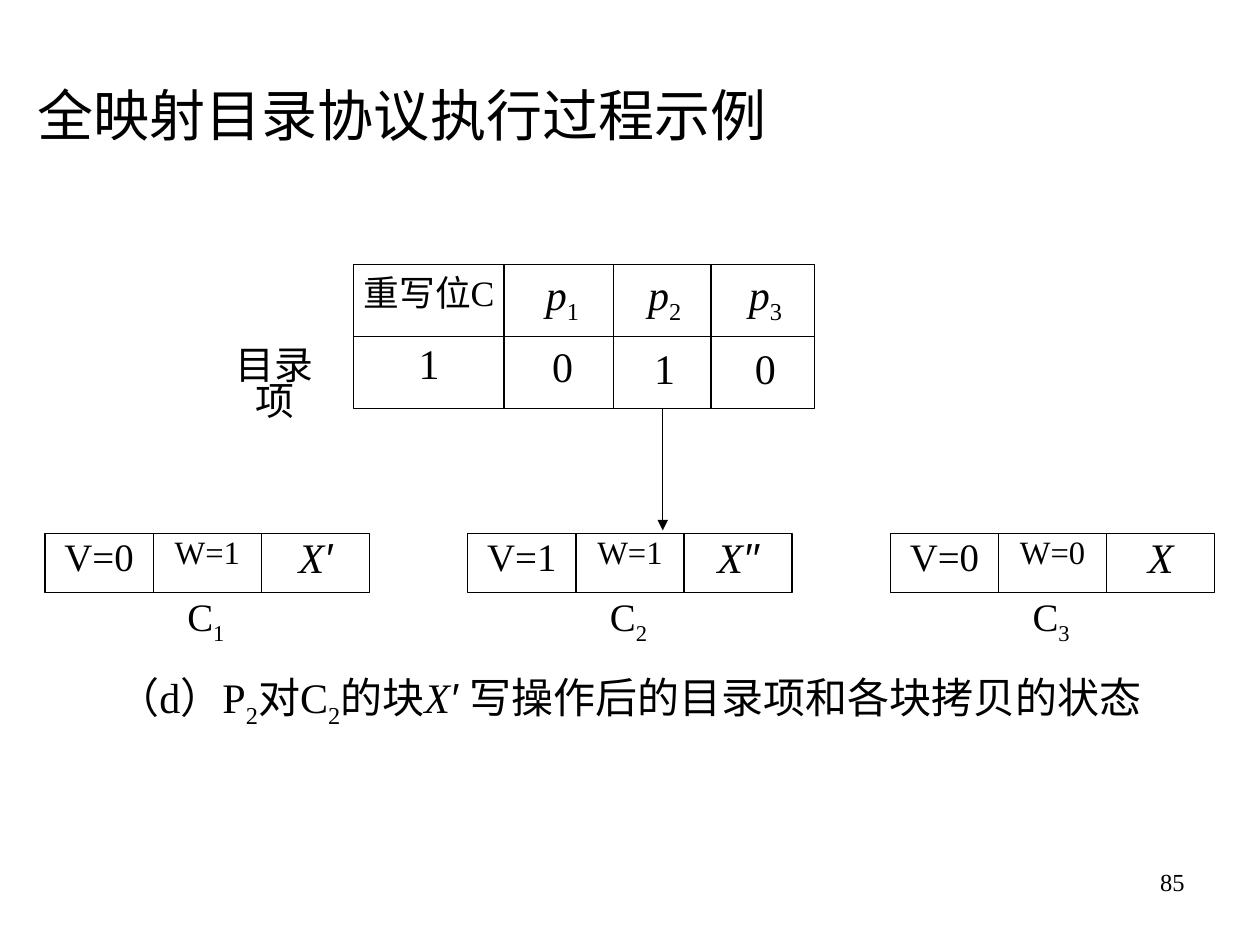
from dataclasses import dataclass

from lxml.etree import SubElement
from pptx import Presentation
from pptx.dml.color import RGBColor
from pptx.enum.shapes import MSO_CONNECTOR as Connector, MSO_SHAPE as Shape
from pptx.enum.text import MSO_ANCHOR as Anchor, PP_ALIGN as Align
from pptx.oxml.ns import qn
from pptx.util import Cm, Pt


@dataclass(frozen=True)
class Theme:
    ink: RGBColor = RGBColor(0, 0, 0)
    font: str = "Times New Roman"
    prime_font: str = "Arial"
    cjk_font: str = "Noto Sans CJK SC"
    line: float = 0.75
    title: float = 32
    body: float = 24
    label: float = 22.2
    heading: float = 20.4
    flag: float = 18.6
    number: float = 14


THEME = Theme()
PLAIN = {}
SUB = {"baseline": -25000}
ITALIC = {"italic": True}
PRIME = {"italic": True, "name": THEME.prime_font}
CJK = {"name": THEME.cjk_font}


def apply(target, values):
    for name, value in values.items():
        setattr(target, name, value)


def write(paragraph, runs, size):
    for text, style in runs:
        run = paragraph.add_run()
        run.text = text
        values = {"name": THEME.font, "size": Pt(size)} | style
        baseline = values.pop("baseline", None)
        apply(run.font, values)
        run.font.color.rgb = THEME.ink
        if baseline:
            run._r.get_or_add_rPr().set("baseline", str(baseline))


def add_text(slide, box, runs, size, spacing=None, align=Align.CENTER, inset=(0, 0)):
    frame = slide.shapes.add_textbox(*map(Cm, box)).text_frame
    across, down = map(Cm, inset)
    apply(frame, {"word_wrap": True, "margin_left": across, "margin_right": across,
                  "margin_top": down, "margin_bottom": down})
    paragraph = frame.paragraphs[0]
    apply(paragraph, {"alignment": align, "line_spacing": spacing})
    write(paragraph, runs, size)


def add_centered(slide, center, top, width, height, runs, size, spacing):
    add_text(slide, (center - width / 2, top, width, height), runs, size, spacing)


def add_line(slide, x1, y1, x2, y2, arrow=False):
    line = slide.shapes.add_connector(Connector.STRAIGHT, *map(Cm, (x1, y1, x2, y2)))
    line.line.color.rgb = THEME.ink
    line.line.width = Pt(THEME.line)
    properties = line._element.spPr
    if arrow:
        SubElement(properties.find(qn("a:ln")), qn("a:tailEnd"), type="triangle")
    SubElement(properties, qn("a:effectLst"))


def add_frame(slide, columns, top, bottom):
    left, right = columns[0], columns[-1]
    frame = slide.shapes.add_shape(
        Shape.RECTANGLE, *map(Cm, (left, top, right - left, bottom - top)))
    frame.shadow.inherit = False
    frame.fill.background()
    frame.line.color.rgb = THEME.ink
    frame.line.width = Pt(THEME.line)
    for x in columns[1:-1]:
        add_line(slide, x, top, x, bottom)


def add_title(slide):
    title = slide.shapes.title
    apply(title, {"left": Cm(0.51), "top": Cm(1.32), "width": Cm(22.86), "height": Cm(1.96)})
    title.text_frame.vertical_anchor = Anchor.MIDDLE
    paragraph = title.text_frame.paragraphs[0]
    paragraph.alignment = Align.LEFT
    write(paragraph, [("全映射目录协议执行过程示例", PLAIN)], THEME.title)


def add_directory(slide):
    columns = [7.13, 10.16, 12.37, 14.33, 16.42]
    top, middle, bottom = 5.33, 6.78, 8.23
    add_frame(slide, columns, top, bottom)
    add_line(slide, columns[0], middle, columns[-1], middle)
    add_centered(slide, 8.65, 5.59, 2.82, 0.94, [("重写位C", PLAIN)], THEME.heading, 0.86)
    centers = [8.65, 11.34, 13.4, 15.43]
    for index, center in enumerate(centers[1:], 1):
        runs = [("p", ITALIC), (str(index), SUB)]
        add_centered(slide, center, 5.59, 1.04, 0.94, runs, THEME.body, 0.72)
    for center, value_top, value in zip(centers, (6.96, 7.01, 7.06, 7.06), "1010"):
        add_centered(slide, center, value_top, 1.04, 0.94, [(value, PLAIN)], THEME.body, 0.86)
    add_text(slide, (4.37, 7.06, 2.33, 0.86), [("目录项", PLAIN)], THEME.label, 0.78)
    add_line(slide, 13.36, bottom, 13.36, 10.69, arrow=True)


def add_cache(slide, index, valid, writable, primes):
    left, cell, top, height = 0.91 + 8.52 * index, 2.18, 10.76, 1.19
    add_frame(slide, [left + cell * step for step in range(4)], top, top + height)
    block = [("X", ITALIC)] + ([(primes, PRIME)] if primes else [])
    cells = [
        ([(f"V={valid}", PLAIN)], THEME.label, 0.62),
        ([(f"W={writable}", PLAIN)], THEME.flag, 0.52),
        (block, THEME.body, 0.62),
    ]
    for step, (runs, size, spacing) in enumerate(cells):
        center = left + cell * (step + 0.5)
        add_centered(slide, center, 11.05, 1.5, 0.66, runs, size, spacing)
    name = [("C", PLAIN), (str(index + 1), SUB)]
    add_centered(slide, left + 3.24, 12.07, 1.14, 0.86, name, THEME.label, 0.78)


def add_caption(slide):
    runs = [
        ("（d）P", PLAIN), ("2", SUB), ("对C", PLAIN), ("2", SUB), ("的块", PLAIN),
        ("X", ITALIC), ("′ ", PRIME), ("写操作后", PLAIN), ("的目录", CJK),
        ("项和各块拷贝的状态", PLAIN),
    ]
    add_text(slide, (0.89, 13.54, 23.6, 1.12), runs, THEME.body, 0.96)


def main():
    presentation = Presentation()
    apply(presentation, {"slide_width": Cm(25.4), "slide_height": Cm(19.05)})
    slide = presentation.slides.add_slide(presentation.slide_layouts[5])
    add_title(slide)
    add_directory(slide)
    for index, state in enumerate([(0, 1, "′"), (1, 1, "′′"), (0, 0, "")]):
        add_cache(slide, index, *state)
    add_caption(slide)
    add_text(slide, (18.21, 17.35, 5.92, 1.32), [("85", PLAIN)], THEME.number,
             align=Align.RIGHT, inset=(0.25, 0.13))
    presentation.save("out.pptx")


if __name__ == "__main__":
    main()
